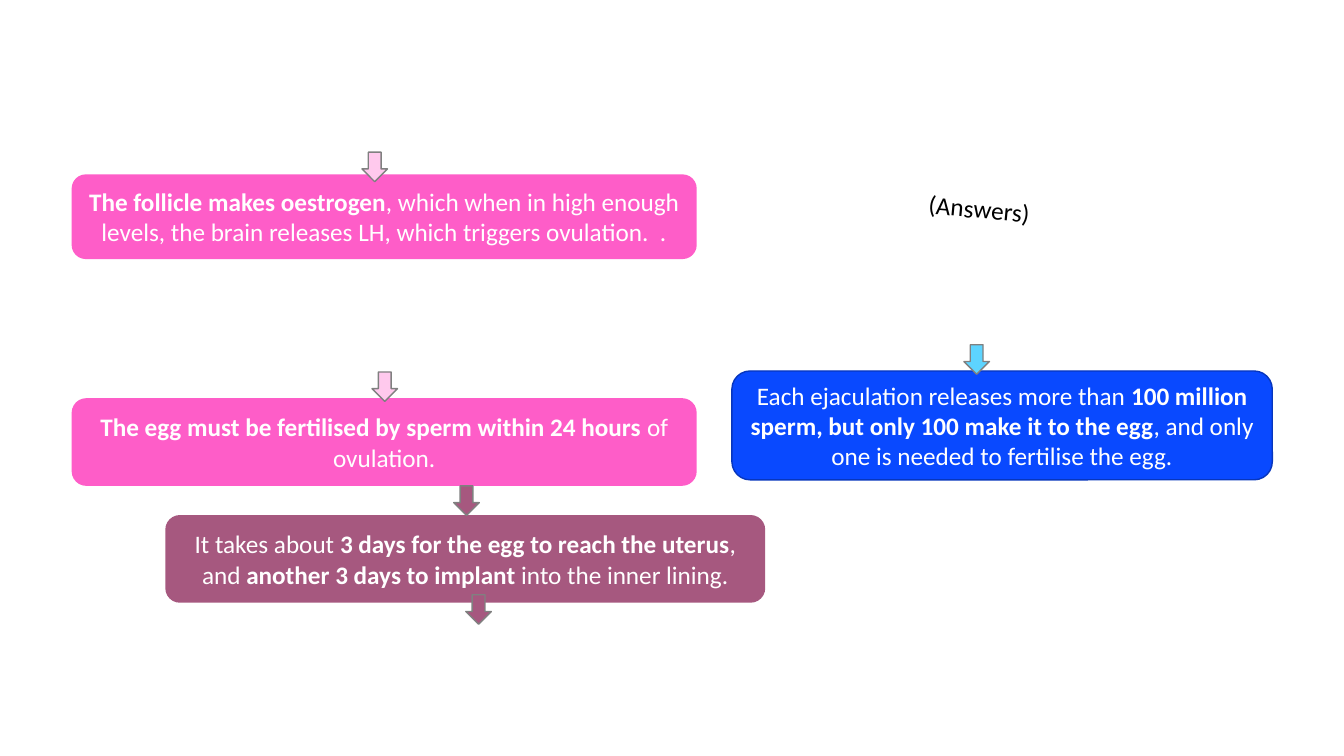
"""Build the fertilisation answers slide: fact boxes linked by block arrows."""
from pptx import Presentation
from pptx import util as u
from pptx.dml.color import RGBColor
from pptx.enum import shapes, text

PINK = RGBColor(0xFE, 0x5D, 0xC8)
PALE_PINK = RGBColor(0xFF, 0xC9, 0xED)
BLUE = RGBColor(0x09, 0x49, 0xFF)
NAVY = RGBColor(0x07, 0x36, 0xBD)
SKY = RGBColor(0x5D, 0xD4, 0xFF)
PLUM = RGBColor(0xA6, 0x58, 0x7F)
GREY = RGBColor(0x80, 0x80, 0x80)
WHITE = RGBColor(0xFF, 0xFF, 0xFF)
BLACK = RGBColor(0, 0, 0)

prs = Presentation()
prs.slide_width, prs.slide_height = u.Inches(13.33), u.Inches(7.5)
s = prs.slides.add_slide(prs.slide_layouts[6])
COL, ROW = prs.slide_width / 100, prs.slide_height / 100


def write(sp, words, color=WHITE, size=18, align=text.PP_ALIGN.CENTER,
          anchor=text.MSO_ANCHOR.MIDDLE):
    """Fill a shape with text in which ** switches bold on and off."""
    tf = sp.text_frame
    tf.word_wrap = True
    tf.vertical_anchor = anchor
    p = tf.paragraphs[0]
    p.alignment = align
    for i, part in enumerate(words.split("**")):
        if part:
            r = p.add_run()
            r.text = part
            r.font.name, r.font.size = "Calibri", u.Pt(size)
            r.font.bold, r.font.color.rgb = i % 2 == 1, color


def block(kind, x, y, w, h, fill, line=None):
    """Add a filled shape placed in hundredths of the slide."""
    sp = s.shapes.add_shape(kind, int(x * COL), int(y * ROW), int(w * COL), int(h * ROW))
    sp.shadow.inherit = False
    sp.fill.solid()
    sp.fill.fore_color.rgb = fill
    if line is None:
        sp.line.fill.background()
    else:
        sp.line.color.rgb, sp.line.width = line, u.Pt(1)
    return sp


facts = [
    (5.33, 23.07, 46.51, 11.2, PINK, None,
     "**The follicle makes oestrogen**, which when in high enough levels, "
     "the brain releases LH, which triggers ovulation.  ."),
    (5.33, 52.67, 46.51, 11.6, PINK, None,
     "**The egg must be fertilised by sperm within 24 hours **of ovulation."),
    (54.46, 49.07, 40.21, 14.4, BLUE, NAVY,
     "Each ejaculation releases more than **100 million sperm, but only 100 make it "
     "to the egg**, and only one is needed to fertilise the egg."),
    (12.3, 68.13, 44.64, 11.6, PLUM, None,
     "It takes about **3 days for the egg to reach the uterus**, and "
     "**another 3 days to implant **into the inner lining."),
]
for x, y, w, h, fill, line, words in facts:
    write(block(shapes.MSO_SHAPE.ROUNDED_RECTANGLE, x, y, w, h, fill, line), words)

arrows = [
    (26.93, 20.13, PALE_PINK),
    (27.68, 49.2, PALE_PINK),
    (71.72, 45.6, SKY),
    (33.76, 64.27, PLUM),
    (34.66, 78.67, PLUM),
]
for x, y, fill in arrows:
    block(shapes.MSO_SHAPE.DOWN_ARROW, x, y, 1.9, 3.9, fill, GREY)

answers = s.shapes.add_textbox(int(68.34 * COL), int(25.2 * ROW),
                               int(12.45 * COL), int(5.33 * ROW))
answers.rotation = 5.3
write(answers, "(Answers)", color=BLACK, align=text.PP_ALIGN.LEFT,
      anchor=text.MSO_ANCHOR.TOP)
answers.text_frame.auto_size = text.MSO_AUTO_SIZE.SHAPE_TO_FIT_TEXT

prs.save("out.pptx")
